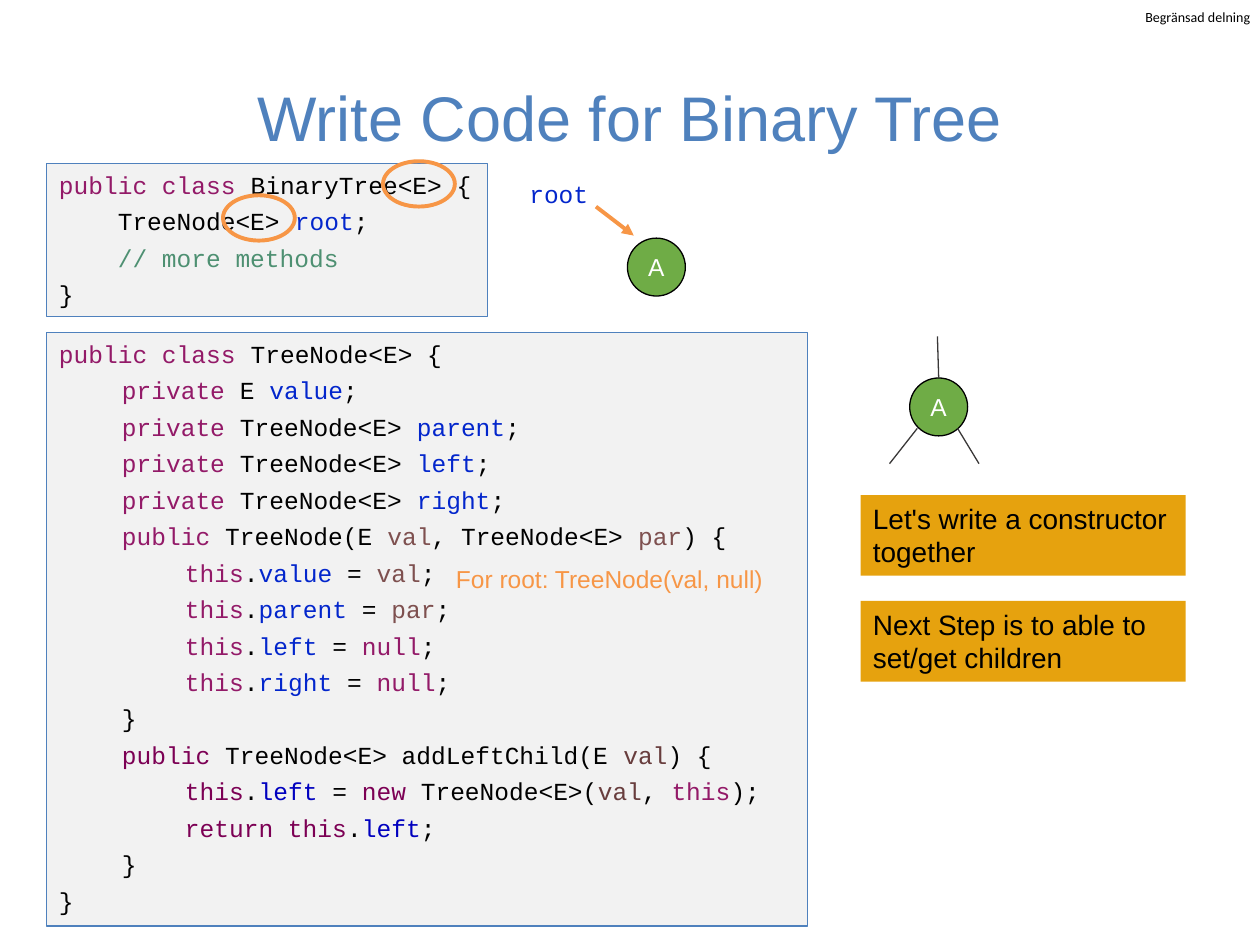
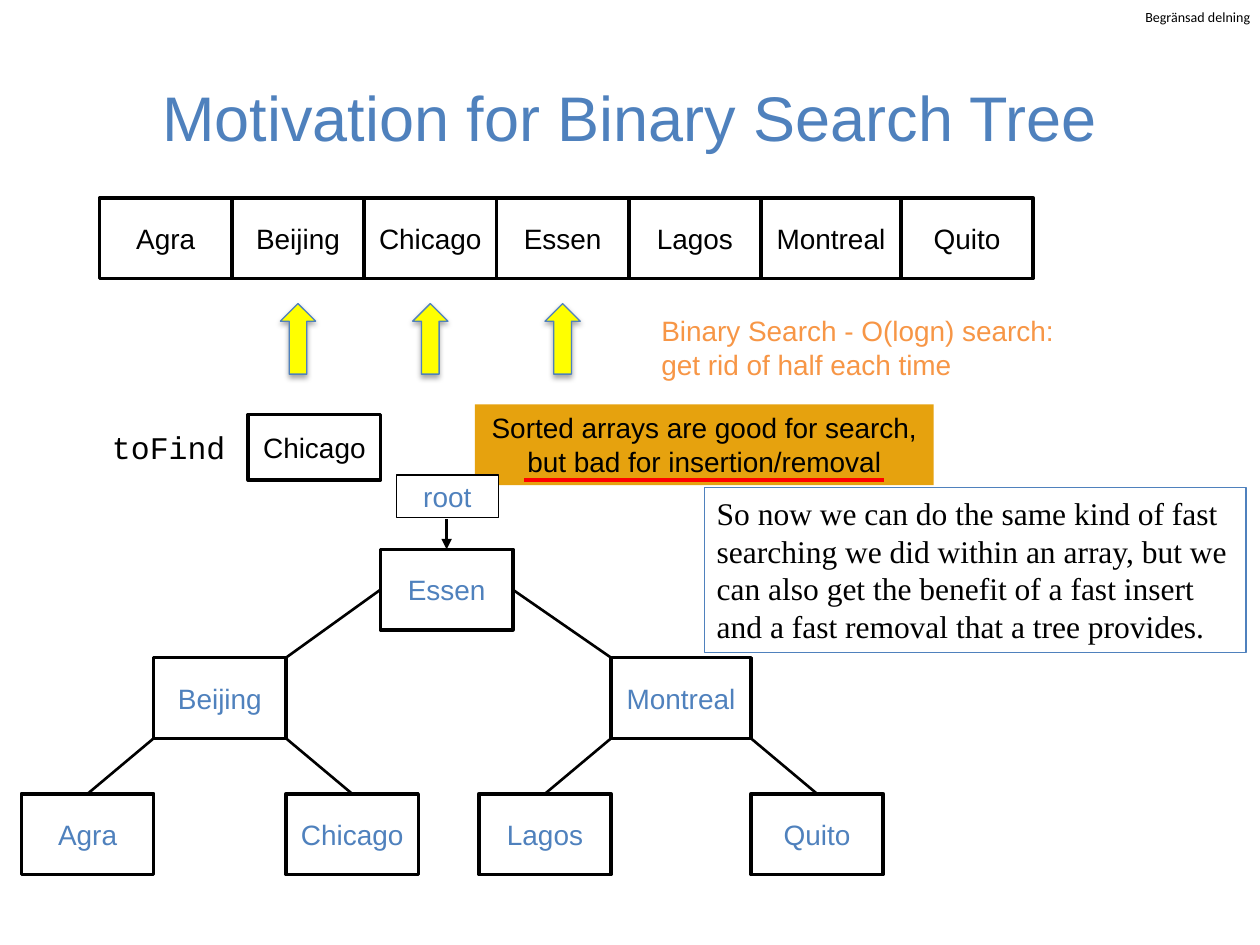
"""Build two lecture slides about binary trees and binary search trees."""
import pptx
import pptx.util
import pptx.dml.color
import pptx.enum.shapes
import pptx.enum.text
import pptx.oxml
import pptx.oxml.ns

COLORS = {
    "black": "000000", "white": "FFFFFF", "blue": "4F81BD", "orange": "F79646",
    "amber": "E6A20E", "paper": "F2F2F2", "green": "6FAC46", "branch": "3A3838",
    "yellow": "FFFF00", "red": "FF0000", "keyword": "931A68", "field": "0326CC",
    "comment": "4E9072", "argument": "7E504F", "keyword2": "7C0054",
    "field2": "0000BF", "argument2": "683D3D",
}
WIDTH, HEIGHT = 10, 7.5
SHAPE = pptx.enum.shapes.MSO_SHAPE
ALIGN = pptx.enum.text.PP_ALIGN
ANCHOR = pptx.enum.text.MSO_ANCHOR
LABEL = "Begränsad delning"

TITLE_STYLE = {"size": 36, "color": "blue", "align": ALIGN.CENTER, "anchor": ANCHOR.MIDDLE}
LABEL_STYLE = {"size": 8, "font": "Calibri", "inset": (0, 0)}
CODE_STYLE = {"size": 14, "font": "Courier New", "gap": 2}
CELL_STYLE = {"align": ALIGN.CENTER, "anchor": ANCHOR.MIDDLE}
CIRCLE_STYLE = {**CELL_STYLE, "size": 14, "color": "white", "inset": (0, 0)}

BINARY_TREE = [
    (0, [("public class ", "keyword"), ("BinaryTree<E> {", "black")]),
    (0, [("    TreeNode<E> ", "black"), ("root", "field"), (";", "black")]),
    (0, [("    // more methods", "comment")]),
    (0, [("}", "black")]),
]


def declare(name):
    """Return the code line that declares a private node field."""
    return 1, [("private ", "keyword"), ("TreeNode<E> ", "black"), (name, "field"), (";", "black")]


def assign(name, value, color):
    """Return the code line that sets a field of this node."""
    return 2, [("this", "keyword"), (".", "black"), (name, "field"),
               (" = ", "black"), (value, color), (";", "black")]


TREE_NODE = [
    (0, [("public class ", "keyword"), ("TreeNode<E> {", "black")]),
    (1, [("private", "keyword"), (" E ", "black"), ("value", "field"), (";", "black")]),
    *[declare(name) for name in ("parent", "left", "right")],
    (1, [("public ", "keyword"), ("TreeNode(E ", "black"), ("val", "argument"),
         (", TreeNode<E> ", "black"), ("par", "argument"), (") {", "black")]),
    assign("value", "val", "argument"),
    assign("parent", "par", "argument"),
    assign("left", "null", "keyword"),
    assign("right", "null", "keyword"),
    (1, [("}", "black")]),
    (1, [("public ", "keyword2"), ("TreeNode<E> addLeftChild(E ", "black"),
         ("val", "argument2"), (") {", "black")]),
    (2, [("this", "keyword2"), (".", "black"), ("left ", "field2"), ("= ", "black"),
         ("new ", "keyword2"), ("TreeNode<E>(", "black"), ("val", "argument2"),
         (", ", "black"), ("this", "keyword"), (");", "black")]),
    (2, [("return this", "keyword2"), (".", "black"), ("left", "field2"), (";", "black")]),
    (1, [("}", "black")]),
    (0, [("}", "black")]),
]
CODE_BOXES = [(BINARY_TREE, (0.37, 1.3, 3.5, 1.21)), (TREE_NODE, (0.37, 2.64, 6.04, 4.71))]
TASKS = ["Let's write a constructor together", "Next Step is to able to set/get children"]
NODE_CIRCLES = [(4.98, 1.89), (7.22, 3)]
BRANCHES = [((7.28, 3.4), (7.06, 3.68)), ((7.44, 2.67), (7.45, 3)), ((7.6, 3.4), (7.77, 3.68))]
TYPE_RINGS = [(3.04, 1.28), (1.77, 1.55)]

CITIES = ["Agra", "Beijing", "Chicago", "Essen", "Lagos", "Montreal", "Quito"]
PROBED = ["Beijing", "Chicago", "Essen"]
CELL, WIDE_CELL, CELL_HEIGHT = 1.05, 1.11, 0.64
ROW_LEFT, ROW_TOP = 0.79, 1.57
TREE_TOPS = [4.36, 5.22, 6.3]
TREE_ROOT = ("Essen", 3.02)
SUBTREES = [("Beijing", 1.22, "Agra", "Chicago"), ("Montreal", 4.85, "Lagos", "Quito")]
BENEFIT = ("So now we can do the same kind of fast searching we did within an array, but we can "
           "also get the benefit of a fast insert and a fast removal that a tree provides.")


def rgb(name):
    return pptx.dml.color.RGBColor.from_string(COLORS[name])


def inches(values):
    return [pptx.util.Inches(value) for value in values]


def write(box, lines, size=16, font="Arial", color="black", align=ALIGN.LEFT,
          anchor=ANCHOR.TOP, inset=(0.1, 0.05), gap=0, wrap=True):
    """Fill a box with a string or with indented lines of coloured spans."""
    if isinstance(lines, str):
        lines = [(0, [(lines, color)])]
    frame = box.text_frame
    across, down = inches(inset)
    frame_format = {"word_wrap": wrap, "vertical_anchor": anchor, "margin_left": across,
                    "margin_right": across, "margin_top": down, "margin_bottom": down}
    for name, value in frame_format.items():
        setattr(frame, name, value)
    for index, (level, spans) in enumerate(lines):
        para = frame.paragraphs[0] if index == 0 else frame.add_paragraph()
        if level:
            para._p.get_or_add_pPr().set("marL", str(pptx.util.Inches(level * 0.5)))
        para_format = {"alignment": align, "space_after": pptx.util.Pt(gap),
                       "space_before": pptx.util.Pt(gap if index else 0)}
        for name, value in para_format.items():
            setattr(para, name, value)
        for text, span_color in spans:
            span = para.add_run()
            span.text = text
            for name, value in {"name": font, "size": pptx.util.Pt(size)}.items():
                setattr(span.font, name, value)
            span.font.color.rgb = rgb(span_color)


def add_text(page, at, text, **style):
    write(page.shapes.add_textbox(*inches(at)), text, **style)


def add_box(page, at, text=None, kind=SHAPE.RECTANGLE, fill=None, line=None, weight=0.75, **style):
    box = page.shapes.add_shape(kind, *inches(at))
    box.shadow.inherit = False
    if fill:
        box.fill.solid()
        box.fill.fore_color.rgb = rgb(fill)
    else:
        box.fill.background()
    if line:
        box.line.color.rgb = rgb(line)
        box.line.width = pptx.util.Pt(weight)
    else:
        box.line.fill.background()
    if text:
        write(box, text, **style)
    return box


def add_line(page, start, end, color="black", weight=1.5, arrow=False):
    line = page.shapes.add_connector(pptx.enum.shapes.MSO_CONNECTOR.STRAIGHT,
                                     *inches(start + end))
    line.line.color.rgb = rgb(color)
    line.line.width = pptx.util.Pt(weight)
    if arrow:
        pptx.oxml.parse_xml(f'<a:x {pptx.oxml.ns.nsdecls("a")}/>')
        line.line._get_or_add_ln().append(pptx.oxml.parse_xml(
            f'<a:tailEnd {pptx.oxml.ns.nsdecls("a")} type="triangle"/>'))
    line._element.spPr.append(pptx.oxml.parse_xml(
        f'<a:effectLst {pptx.oxml.ns.nsdecls("a")}/>'))


def add_shadow(box):
    effects = box._element.spPr.find(pptx.oxml.ns.qn("a:effectLst"))
    effects.append(pptx.oxml.parse_xml(
        f'<a:outerShdw {pptx.oxml.ns.nsdecls("a")} blurRad="{pptx.util.Pt(3.1)}" '
        f'dist="{pptx.util.Pt(1.8)}" dir="5400000" rotWithShape="0">'
        f'<a:srgbClr val="{COLORS["black"]}"><a:alpha val="35000"/></a:srgbClr></a:outerShdw>'))


def add_page(deck, title):
    page = deck.slides.add_slide(deck.slide_layouts[6])
    add_text(page, (9.09, 0.07, 0.9, 0.13), LABEL, **{**LABEL_STYLE, "wrap": False})
    add_text(page, (0.05 * WIDTH, 0.04 * HEIGHT, 0.9 * WIDTH, 1.25), title, **TITLE_STYLE)
    return page


def cell_width(city):
    return WIDE_CELL if city == "Montreal" else CELL


def add_cell(page, city, left, top, color="black", height=CELL_HEIGHT):
    add_box(page, (left, top, cell_width(city), height), city, fill="white",
            line="black", weight=2, color=color, **CELL_STYLE)


def build_code_page(deck):
    page = add_page(deck, "Write Code for Binary Tree")
    for code, at in CODE_BOXES:
        add_box(page, at, code, fill="paper", line="blue", **CODE_STYLE)
    for left, top in NODE_CIRCLES:
        add_box(page, (left, top, 0.46, 0.46), "A", SHAPE.OVAL, "green", "black", **CIRCLE_STYLE)
    add_text(page, (4.1, 1.37, 0.67, 0.34), "root", size=14, font="Courier New",
             color="field", align=ALIGN.CENTER)
    add_line(page, (4.73, 1.64), (5.03, 1.87), "orange", 2.25, arrow=True)
    for start, end in BRANCHES:
        add_line(page, start, end, "branch", 0.75)
    for index, task in enumerate(TASKS):
        add_box(page, (6.83, 3.93 + 0.84 * index, 2.58, 0.64), task, fill="amber")
    for left, top in TYPE_RINGS:
        add_box(page, (left, top, 0.57, 0.36), kind=SHAPE.OVAL, line="orange", weight=2.25)
    add_text(page, (3.52, 4.43, 2.65, 0.34), "For root: TreeNode(val, null)",
             size=14, color="orange", wrap=False)


def build_tree(page):
    name, root_left = TREE_ROOT
    root_top, middle_top, leaf_top = TREE_TOPS
    root_middle = root_top + CELL_HEIGHT / 2
    add_cell(page, name, root_left, root_top, "blue")
    for side, (parent, left, *leaves) in enumerate(SUBTREES):
        right = left + cell_width(parent)
        add_cell(page, parent, left, middle_top, "blue")
        inner = left if side else right
        add_line(page, (root_left + side * CELL, root_middle), (inner, middle_top))
        for leaf, leaf_left, corner in zip(leaves, (left - CELL, right), (left, right)):
            add_cell(page, leaf, leaf_left, leaf_top, "blue")
            add_line(page, (corner, middle_top + CELL_HEIGHT), (leaf_left + CELL / 2, leaf_top))
    center = root_left + CELL / 2
    add_box(page, (center - 0.4, 3.77, 0.81, 0.34), "root", fill="white", line="black",
            color="blue", **CELL_STYLE)
    add_line(page, (center, 4.12), (center, root_top), arrow=True)


def build_search_page(deck):
    page = add_page(deck, "Motivation for Binary Search Tree")
    left = ROW_LEFT
    for city in CITIES:
        add_cell(page, city, left, ROW_TOP)
        if city in PROBED:
            add_shadow(add_box(page, (left + CELL / 2 - 0.14, 2.41, 0.28, 0.56),
                               kind=SHAPE.UP_ARROW, fill="yellow", line="blue"))
        left += cell_width(city)
    add_text(page, (ROW_LEFT, 3.35, 1.11, 0.4), "toFind", size=18, font="Courier New", wrap=False)
    add_cell(page, "Chicago", 1.97, 3.29, height=0.52)
    add_box(page, (3.77, 3.21, 3.64, 0.64),
            "Sorted arrays are good for search, but bad for insertion/removal",
            fill="amber", align=ALIGN.CENTER)
    add_text(page, (5.15, 2.44, 3.45, 0.64),
             "Binary Search - O(logn) search: get rid of half each time", color="orange")
    build_tree(page)
    add_box(page, (5.59, 3.87, 4.3, 1.31), BENEFIT, line="blue", size=18, font="Times New Roman")
    add_line(page, (4.16, 3.81), (7.02, 3.81), "red", 2.25)


def main():
    deck = pptx.Presentation()
    deck.slide_width, deck.slide_height = inches((WIDTH, HEIGHT))
    build_code_page(deck)
    build_search_page(deck)
    deck.save("out.pptx")


if __name__ == "__main__":
    main()
